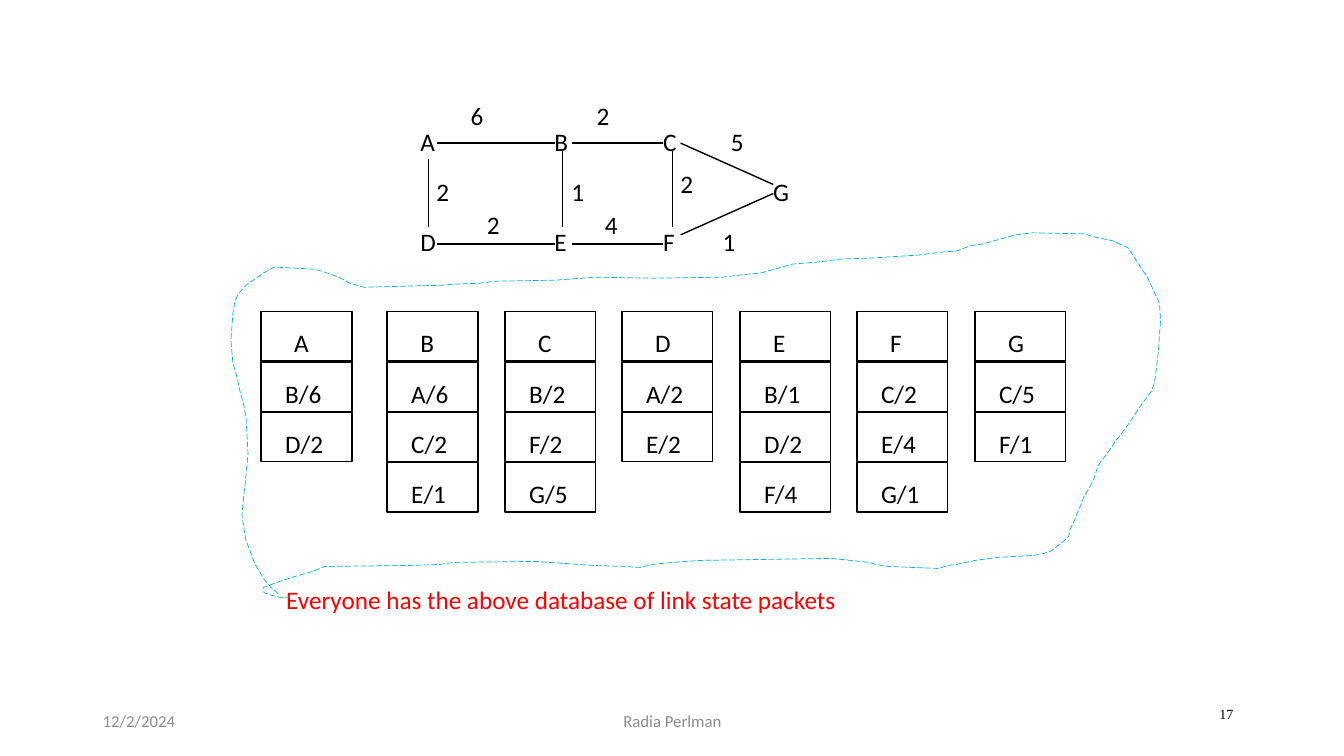
from lxml.etree import SubElement as Sub
from pptx import Presentation
from pptx.dml.color import RGBColor as RGB
from pptx.enum.dml import MSO_LINE as Dash
from pptx.enum.shapes import MSO_CONNECTOR as Conn, MSO_SHAPE as Kind
from pptx.enum.text import MSO_ANCHOR as Anchor, PP_ALIGN as Align
from pptx.oxml.ns import qn
from pptx.util import Pt

PX = 9144  # EMU in one px, 100 px to the inch
COLORS = {"ink": "000000", "note": "FF0000", "loop": "00B0F0", "foot": "8C8C8C"}


class Board:
    def __init__(self, slide, font="Calibri", size=18):
        self.shapes = slide.shapes
        self.font, self.size = font, size

    def color(self, name):
        return RGB.from_string(COLORS[name])

    def pen(self, line, color="ink", width=1):
        line.color.rgb = self.color(color)
        line.width = Pt(width)

    def text(self, words, x, y, w, h=51, color="ink", size=None, font=None,
             align=Align.LEFT, anchor=Anchor.TOP, wrap=False):
        box = self.shapes.add_textbox(x * PX, y * PX, w * PX, h * PX)
        frame = box.text_frame
        frame.word_wrap = wrap
        frame.vertical_anchor = anchor
        para = frame.paragraphs[0]
        para.text = words
        para.alignment = align
        para.font.name = font or self.font
        para.font.size = Pt(size or self.size)
        para.font.color.rgb = self.color(color)

    def rect(self, x, y, w, h):
        box = self.shapes.add_shape(Kind.RECTANGLE, x * PX, y * PX, w * PX, h * PX)
        box.shadow.inherit = False
        box.fill.background()
        self.pen(box.line)

    def line(self, x1, y1, x2, y2):
        link = self.shapes.add_connector(
            Conn.STRAIGHT, x1 * PX, y1 * PX, x2 * PX, y2 * PX)
        self.pen(link.line)
        Sub(link._element.spPr, qn("a:effectLst"))

    def loop(self, dots):
        path = self.shapes.build_freeform(*dots[0], scale=PX)
        path.add_line_segments(dots[1:], close=False)
        shape = path.convert_to_shape()
        shape.shadow.inherit = False
        shape.fill.background()
        self.pen(shape.line, "loop", 0.5)
        shape.line.dash_style = Dash.LONG_DASH


NODES = {"A": (407, 120), "B": (540, 120), "C": (648, 120), "D": (407, 220),
         "E": (540, 220), "F": (648, 220), "G": (757, 170)}

LINKS = [(425, 158, 425, 225), (433, 242, 550, 242), (433, 142, 550, 142),
         (567, 142, 658, 142), (567, 242, 658, 242), (675, 233, 767, 192),
         (675, 142, 767, 183), (667, 150, 667, 225), (558, 150, 558, 225)]

COSTS = [("6", 457, 95), ("2", 582, 95), ("5", 715, 120), ("1", 707, 220),
         ("2", 665, 162), ("1", 557, 170), ("2", 423, 170), ("2", 473, 203),
         ("4", 590, 203)]

PACKETS = ["A B/6 D/2", "B A/6 C/2 E/1", "C B/2 F/2 G/5", "D A/2 E/2",
           "E B/1 D/2 F/4", "F C/2 E/4 G/1", "G C/5 F/1"]

LOOP = [
    # Left side, going up
    (276, 589), (269, 583), (262, 575), (258, 568), (253, 560), (247, 544),
    (244, 536), (243, 531), (240, 511), (242, 489), (243, 482), (246, 450),
    (244, 414), (242, 403), (238, 388), (235, 374), (231, 360), (229, 338),
    (231, 311), (233, 299), (236, 292), (244, 283), (254, 276), (261, 271),
    # Top, going right
    (272, 265), (311, 267), (319, 269), (325, 271), (336, 275), (347, 281),
    (361, 285), (438, 283), (449, 282), (476, 281), (490, 279), (551, 278),
    (590, 275), (649, 276), (717, 275), (742, 272), (754, 271), (765, 268),
    (779, 264), (786, 262), (811, 260), (835, 257), (865, 256), (912, 253),
    (935, 250), (949, 249), (962, 244), (975, 242), (1007, 233), (1024, 231),
    # Right side, going down
    (1075, 232), (1085, 235), (1104, 239), (1119, 246), (1128, 260), (1133, 268),
    (1138, 275), (1150, 301), (1151, 318), (1149, 347), (1147, 365), (1145, 380),
    (1142, 388), (1131, 403), (1119, 421), (1111, 432), (1106, 438), (1101, 446),
    (1089, 462), (1085, 475), (1081, 483), (1075, 493), (1072, 501), (1068, 510),
    (1065, 518), (1061, 526), (1060, 532), (1056, 536), (1042, 547),
    # Bottom, going left
    (1032, 550), (1025, 551), (990, 553), (967, 556), (958, 558), (949, 560),
    (940, 561), (931, 564), (881, 562), (869, 560), (862, 558), (844, 556),
    (824, 554), (694, 556), (667, 558), (647, 560), (635, 563), (620, 562),
    (589, 561), (531, 557), (450, 558), (436, 560), (406, 561), (322, 562),
    (310, 567), (292, 572), (274, 578), (261, 583), (262, 588), (267, 590),
    (279, 593), (290, 592)]


def main():
    deck = Presentation()
    deck.slide_width, deck.slide_height = 1333 * PX, 750 * PX
    board = Board(deck.slides.add_slide(deck.slide_layouts[6]))

    # Network graph
    for name, (x, y) in NODES.items():
        board.text(name, x, y, 44)
    for ends in LINKS:
        board.line(*ends)
    for cost, x, y in COSTS:
        board.text(cost, x, y, 37)

    # Link state packets, one column a node
    for col, packet in enumerate(PACKETS):
        left = round(384 + (col - 1) * 116.6) if col else 259
        for row, entry in enumerate(packet.split()):
            top = 309 + row * 50
            board.rect(left, top, 90, 49)
            inset, wide = (14, 69) if row else (23, 44)
            board.text(entry, left + inset, top + 11, wide)

    # Caption and dashed loop
    board.text("Everyone has the above database of link state packets",
               274, 575, 769, 50, "note", wrap=True)
    board.loop(LOOP)

    # Footer
    board.text("12/2/2024", 92, 695, 300, 40, "foot", 12,
               anchor=Anchor.MIDDLE, wrap=True)
    board.text("Radia Perlman", 442, 695, 450, 40, "foot", 12,
               align=Align.CENTER, anchor=Anchor.MIDDLE, wrap=True)
    board.text("17", 944, 683, 289, 50, size=10, font="Times New Roman",
               align=Align.RIGHT, anchor=Anchor.MIDDLE, wrap=True)

    deck.save("out.pptx")


if __name__ == "__main__":
    main()
